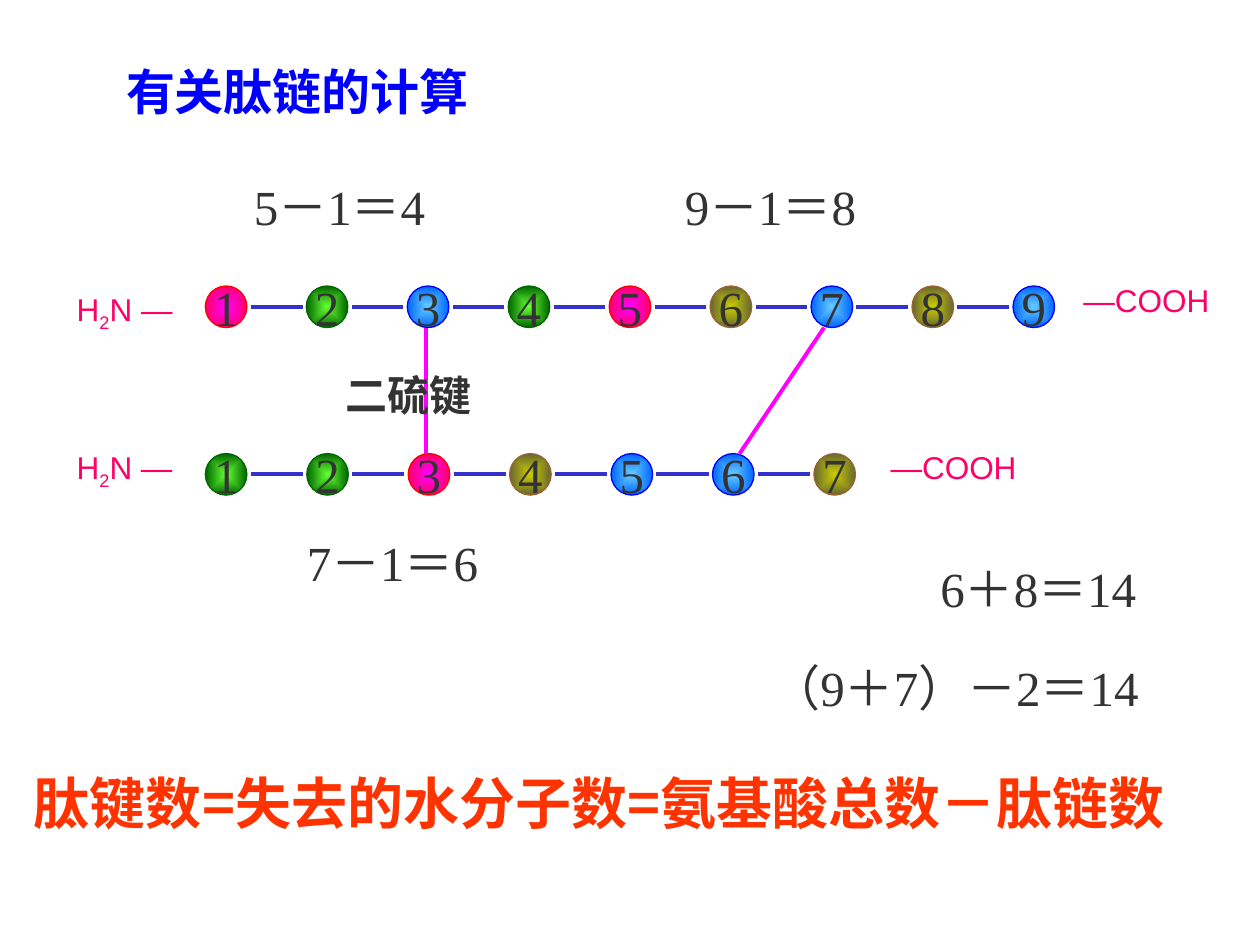
from dataclasses import dataclass

from lxml import etree
from pptx import Presentation
from pptx.dml.color import RGBColor as Rgb
from pptx.enum import shapes, text
from pptx.oxml import ns
from pptx.util import Inches, Pt


@dataclass(frozen=True)
class Theme:
    ink: str = "333333"
    blue: str = "0000FF"
    bond: str = "3333CC"
    bridge: str = "FF00FF"
    end: str = "FF0066"
    rule: str = "FF3300"
    serif: str = "Times New Roman"
    sans: str = "Arial"
    cjk: str = "Noto Sans CJK JP"
    small: int = 18
    mid: int = 24
    large: int = 28
    huge: int = 32


T = Theme()

# Centre colour, edge colour and outline of each kind of residue
KINDS = {
    "G": ("66FF33", "006600", "006600"),
    "B": ("66CCFF", "0066FF", "0000FF"),
    "P": ("FF00FF", "FF0066", "FF0000"),
    "O": ("CCCC00", "666633", "996633"),
}
SIZE = 0.33
GAP = 0.03
FIRST = 1.63
# Top, left of last residue, kinds in order
CHAINS = [(2.27, 8.04, "PGBGPOBOB"), (3.6, 6.46, "GGPOBBO")]

BRIDGES = [((3.38, 2.6), (3.38, 3.6)), ((6.54, 2.6), (5.87, 3.6))]

SUMS = [
    ("5－1＝4", (1.73, 1.35, 1.93, 0.57)),
    ("9－1＝8", (5.15, 1.35, 1.93, 0.57)),
    ("7－1＝6", (2.15, 4.18, 1.93, 0.57)),
    ("6＋8＝14", (7.13, 4.38, 2.22, 0.57)),
    ("（9＋7）－2＝14", (5.65, 5.17, 3.86, 0.57)),
]
AMINO = [("H", 0), ("2", -25), ("N —", 0)]
ACID = [("—COOH", 0)]
ENDS = [
    (ACID, (6.97, 3.51, 1.5, 0.4)),
    (ACID, (8.5, 2.18, 1.3, 0.4)),
    (AMINO, (0.51, 2.25, 1.18, 0.44)),
    (AMINO, (0.51, 3.51, 1.1, 0.44)),
]


def style(item, **values):
    for name, value in values.items():
        setattr(item, name, value)


def write(frame, parts, size, face, color, bold=False, align="LEFT", wrap=True):
    """Fill a frame with one paragraph of (words, baseline percent) runs."""
    style(frame, word_wrap=wrap)
    para = frame.paragraphs[0]
    para.alignment = getattr(text.PP_ALIGN, align)
    for words, shift in parts:
        run = para.add_run()
        run.text = words
        style(run.font, size=Pt(size), name=face, bold=bold)
        run.font.color.rgb = Rgb.from_string(color)
        if shift:
            run._r.get_or_add_rPr().set("baseline", str(shift * 1000))
    return para


def fit(frame):
    style(frame, auto_size=text.MSO_AUTO_SIZE.SHAPE_TO_FIT_TEXT,
          vertical_anchor=text.MSO_ANCHOR.TOP)


def label(slide, parts, box, *args, **values):
    frame = slide.shapes.add_textbox(*map(Inches, box)).text_frame
    para = write(frame, parts, *args, **values)
    fit(frame)
    return para


def title(slide, words, box):
    shape = slide.shapes.title
    names = ("left", "top", "width", "height")
    style(shape, **dict(zip(names, map(Inches, box))))
    write(shape.text_frame, [(words, 0)], T.large, T.serif, T.blue, bold=True)
    fit(shape.text_frame)


def glow(fill, inner, outer):
    """Shade from the centre of the shape to its edge."""
    fill.gradient()
    for stop, color in zip(fill.gradient_stops, (inner, outer)):
        stop.color.rgb = Rgb.from_string(color)
    grad = fill._xPr.find(ns.qn("a:gradFill"))
    grad.remove(grad.find(ns.qn("a:lin")))
    way = etree.SubElement(grad, ns.qn("a:path"), {"path": "rect"})
    half = dict.fromkeys("ltrb", "50000")
    etree.SubElement(way, ns.qn("a:fillToRect"), half)


def ball(slide, left, top, kind, number):
    inner, outer, edge = KINDS[kind]
    box = map(Inches, (left, top, SIZE, SIZE))
    shape = slide.shapes.add_shape(shapes.MSO_SHAPE.OVAL, *box)
    shape.shadow.inherit = False
    glow(shape.fill, inner, outer)
    shape.line.color.rgb = Rgb.from_string(edge)
    shape.line.width = Pt(0.75)
    write(shape.text_frame, [(str(number), 0)], T.large, T.serif, T.ink,
          align="CENTER", wrap=False)
    shape.text_frame.vertical_anchor = text.MSO_ANCHOR.MIDDLE


def link(slide, start, stop, color):
    ends = map(Inches, (*start, *stop))
    line = slide.shapes.add_connector(shapes.MSO_CONNECTOR.STRAIGHT, *ends)
    line.line.color.rgb = Rgb.from_string(color)
    line.line.width = Pt(2.25)
    etree.SubElement(line._element.spPr, ns.qn("a:effectLst"))


def chain(slide, top, last, kinds):
    """Draw evenly spaced residues with a bond between neighbours."""
    step = (last - FIRST) / (len(kinds) - 1)
    mid = top + SIZE / 2
    for i, kind in enumerate(kinds):
        left = FIRST + i * step
        ball(slide, left, top, kind, i + 1)
        if i:
            start = left - step + SIZE + GAP
            link(slide, (start, mid), (left - GAP, mid), T.bond)


def main():
    deck = Presentation()
    style(deck, slide_width=Inches(10), slide_height=Inches(7.5))
    slide = deck.slides.add_slide(deck.slide_layouts[5])
    title(slide, "有关肽链的计算", (0.9, 0.44, 3.15, 0.57))
    for row in CHAINS:
        chain(slide, *row)
    for start, stop in BRIDGES:
        link(slide, start, stop, T.bridge)
    for words, box in SUMS:
        label(slide, [(words, 0)], box, T.large, T.serif, T.ink,
              align="CENTER", wrap=False)
    for parts, box in ENDS:
        label(slide, parts, box, T.small, T.sans, T.end)
    label(slide, [("二硫键", 0)], (2.64, 2.88, 1.42, 0.5),
          T.mid, T.serif, T.ink, bold=True)
    rule = label(slide, [("肽键数=失去的水分子数=氨基酸总数－肽链数", 0)],
                 (0.17, 6.11, 9.59, 0.58), T.huge, T.cjk, T.rule, bold=True)
    rule.line_spacing = 0.9
    deck.save("out.pptx")


if __name__ == "__main__":
    main()
